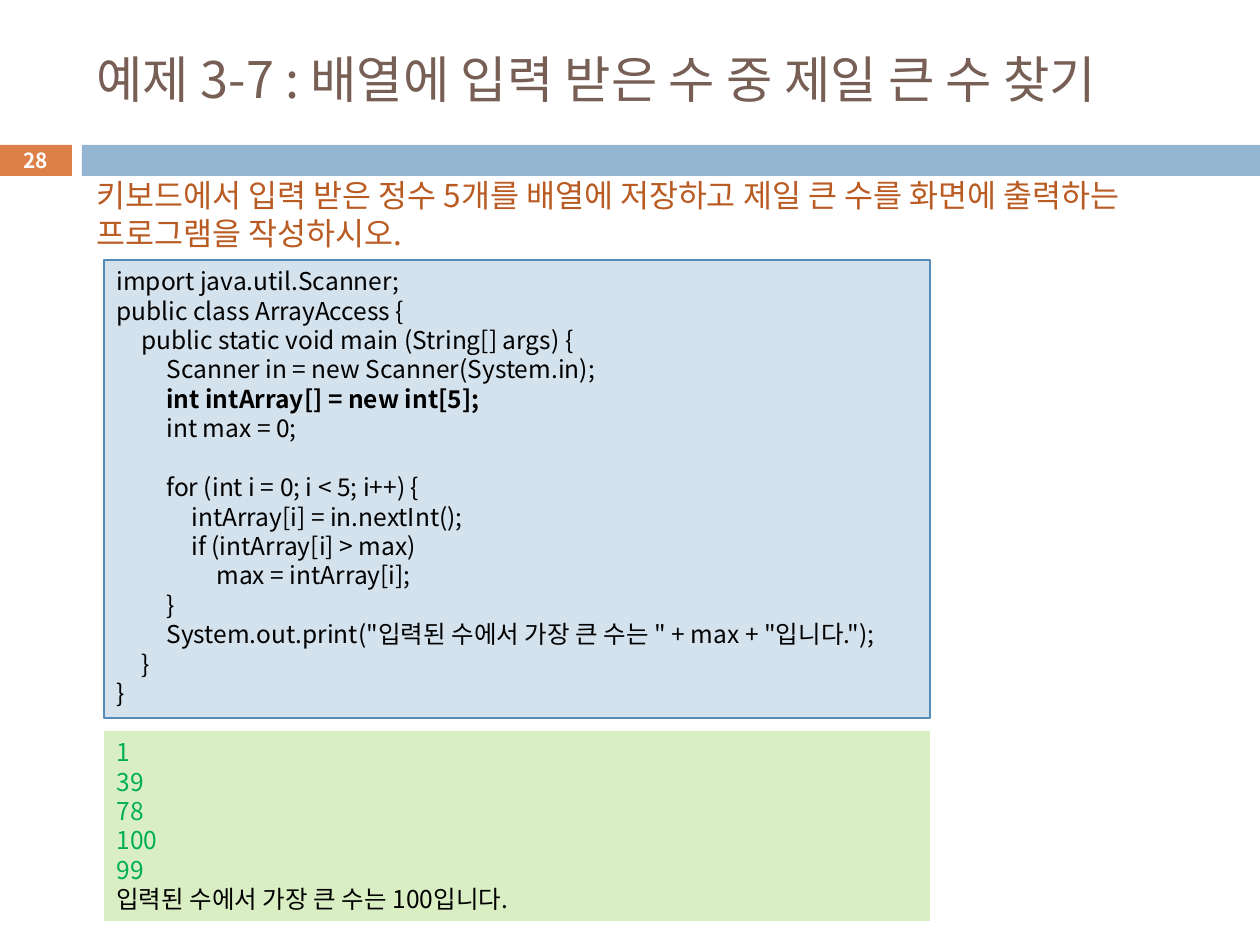
from lxml.etree import SubElement
from pptx import Presentation
from pptx.dml.color import RGBColor
from pptx.enum.shapes import MSO_SHAPE
from pptx.enum.text import MSO_ANCHOR, MSO_AUTO_SIZE, PP_ALIGN
from pptx.oxml.ns import qn
from pptx.util import Pt

# Content: (indent level, text, format)
TITLE = "예제 3-7 : 배열에 입력 받은 수 중 제일 큰 수 찾기"
TASK = "키보드에서 입력 받은 정수 5개를 배열에 저장하고 제일 큰 수를 화면에 출력하는 프로그램을 작성하시오."
PAGE_NUMBER = "28"
CODE = [
    (0, "import java.util.Scanner;", {}),
    (0, "public class ArrayAccess {", {}),
    (1, "public static void main (String[] args) {", {}),
    (2, "Scanner in = new Scanner(System.in);", {}),
    (2, "int intArray[] = new int[5];", {"bold": True}),
    (2, "int max = 0;", {}),
    (2, "for (int i = 0; i < 5; i++) {", {"before": 16.8}),
    (3, "intArray[i] = in.nextInt();", {}),
    (3, "if (intArray[i] > max)", {}),
    (4, "max = intArray[i];", {}),
    (2, "}", {}),
    (2, 'System.out.print("입력된 수에서 가장 큰 수는 " + max + "입니다.");', {}),
    (1, "}", {}),
    (0, "}", {}),
]
INPUTS = ["1", "39", "78", "100", "99"]
OUTPUT = [(0, number, {"color": "input"}) for number in INPUTS]
OUTPUT.append((0, "입력된 수에서 가장 큰 수는 100입니다.", {}))

FONT = "Noto Sans CJK KR"
COLORS = {
    "title": "775F55", "task": "B95B22", "text": "000000", "input": "00B050",
    "white": "FFFFFF", "orange": "DD8047", "blue": "94B6D2",
    "code": "D4E2ED", "code line": "558BB8", "output": "DAEEC4",
}
SCALE = 914400 / 126
INDENT = 25


def px(length):
    return round(length * SCALE)


def color(name):
    return RGBColor.from_string(COLORS[name])


def place(shape, left, top, width, height):
    shape.left, shape.top = px(left), px(top)
    shape.width, shape.height = px(width), px(height)


def add_text(paragraph, text, size=14, color_name="text", bold=False,
             align=PP_ALIGN.LEFT, level=0, before=0, spacing=None):
    paragraph.alignment = align
    paragraph.space_before = Pt(before)
    if spacing:
        paragraph.line_spacing = Pt(spacing)
    properties = paragraph._p.get_or_add_pPr()
    properties.set("marL", str(px(level * INDENT)))
    properties.set("indent", "0")
    SubElement(properties, qn("a:buNone"))
    run = paragraph.add_run()
    run.text = text
    font = run.font
    font.name, font.size, font.bold = FONT, Pt(size), bold
    font.color.rgb = color(color_name)
    SubElement(font._element, qn("a:ea")).set("typeface", FONT)


def set_frame(shape, anchor=MSO_ANCHOR.TOP):
    frame = shape.text_frame
    frame.word_wrap = True
    frame.auto_size = MSO_AUTO_SIZE.NONE
    frame.vertical_anchor = anchor
    return frame


def add_box(slide, box, fill, line=None):
    shape = slide.shapes.add_shape(MSO_SHAPE.RECTANGLE, *map(px, box))
    shape.shadow.inherit = False
    shape.fill.solid()
    shape.fill.fore_color.rgb = color(fill)
    if line:
        shape.line.color.rgb = color(line)
        shape.line.width = Pt(0.75)
    else:
        shape.line.fill.background()
    return shape


def add_listing(shape, lines):
    frame = set_frame(shape)
    for index, (level, text, style) in enumerate(lines):
        paragraph = frame.add_paragraph() if index else frame.paragraphs[0]
        add_text(paragraph, text, level=level, spacing=16.8,
                 color_name=style.get("color", "text"),
                 bold=style.get("bold", False), before=style.get("before", 0))


def main():
    presentation = Presentation()
    presentation.slide_width, presentation.slide_height = px(1260), px(945)
    slide = presentation.slides.add_slide(presentation.slide_layouts[1])

    # Title and task
    title, task = slide.placeholders
    place(title, 84, 31, 1124, 94)
    add_text(set_frame(title, MSO_ANCHOR.MIDDLE).paragraphs[0], TITLE,
             size=28.8, color_name="title")
    place(task, 84, 170, 1077, 90)
    add_text(set_frame(task).paragraphs[0], TASK, size=18,
             color_name="task", spacing=21.6)

    # Divider bars and page number
    add_box(slide, (-1, 145, 73, 31), "orange")
    add_box(slide, (82, 145, 1178, 31), "blue")
    number = slide.shapes.add_textbox(*map(px, (-1, 143, 73, 34)))
    add_text(set_frame(number, MSO_ANCHOR.MIDDLE).paragraphs[0], PAGE_NUMBER,
             size=11.9, color_name="white", bold=True, align=PP_ALIGN.CENTER)

    # Program and its run
    add_listing(add_box(slide, (104, 260, 826, 458), "code", "code line"), CODE)
    add_listing(add_box(slide, (104, 731, 826, 190), "output"), OUTPUT)

    presentation.save("out.pptx")


if __name__ == "__main__":
    main()
